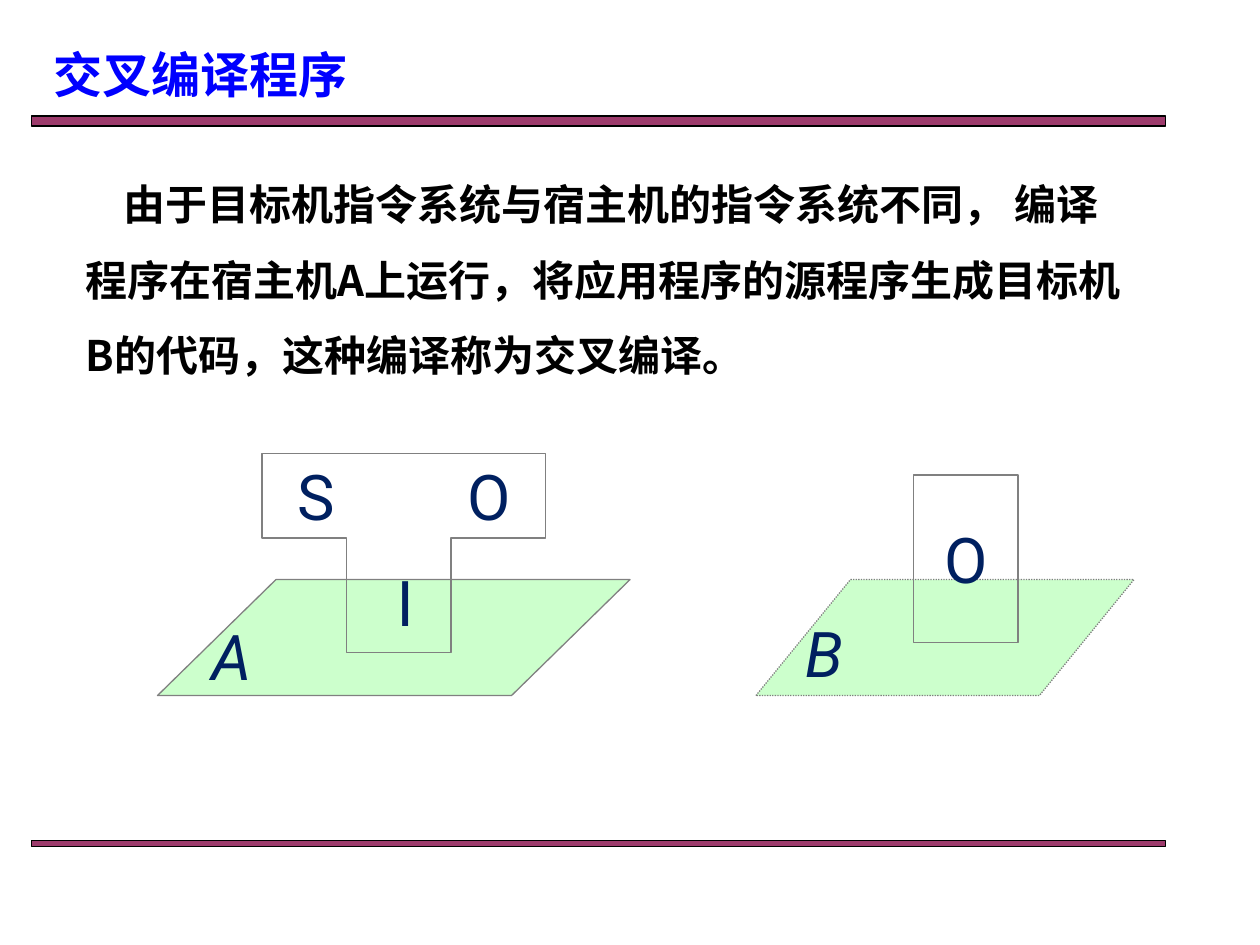
from lxml import etree
from pptx import Presentation
from pptx.dml.color import RGBColor
from pptx.enum.dml import MSO_LINE
from pptx.enum.shapes import MSO_SHAPE
from pptx.enum.text import MSO_ANCHOR, PP_ALIGN
from pptx.oxml.ns import qn
from pptx.util import Inches, Pt

RECTANGLE, PARALLELOGRAM = MSO_SHAPE.RECTANGLE, MSO_SHAPE.PARALLELOGRAM
MIDDLE, TOP = MSO_ANCHOR.MIDDLE, MSO_ANCHOR.TOP
CENTER, LEFT = PP_ALIGN.CENTER, PP_ALIGN.LEFT
DOTTED = MSO_LINE.ROUND_DOT

HEADING_FONT, LABEL_FONT = "Noto Sans CJK SC", "Roboto"
BAR, GREEN, GRAY, NAVY = "993366", "CCFFCC", "808080", "002060"
BLACK, BLUE = "000000", "0000FF"


def color(value):
    return RGBColor.from_string(value)


def style_shape(shape, fill=None, line=GRAY, dash=None, opacity=None):
    shape.shadow.inherit = False
    if fill:
        shape.fill.solid()
        shape.fill.fore_color.rgb = color(fill)
    else:
        shape.fill.background()
    shape.line.color.rgb = color(line)
    shape.line.width = Pt(0.75)
    if dash:
        shape.line.dash_style = dash
    if opacity:
        fill_color = shape.fill._xPr.find(qn("a:solidFill"))[0]
        etree.SubElement(fill_color, qn("a:alpha"), val=str(opacity * 1000))


def add_shape(slide, kind, box, **style):
    shape = slide.shapes.add_shape(kind, *map(Inches, box))
    style_shape(shape, **style)
    return shape


def write_text(shape, text, font_name, size, text_color, anchor=MIDDLE,
               alignment=CENTER, wrap=False, **font_format):
    frame = shape.text_frame
    frame.word_wrap = wrap
    frame.vertical_anchor = anchor
    paragraph = frame.paragraphs[0]
    paragraph.alignment = alignment
    run = paragraph.add_run()
    run.text = text
    font_format.update(name=font_name, size=Pt(size))
    for name, value in font_format.items():
        setattr(run.font, name, value)
    run.font.color.rgb = color(text_color)
    # East Asian characters take their typeface from a:ea
    east_asian = etree.SubElement(run._r.get_or_add_rPr(), qn("a:ea"))
    east_asian.set("typeface", font_name)
    return paragraph


def add_text(slide, box, *text, **text_format):
    text_box = slide.shapes.add_textbox(*map(Inches, box))
    return text_box, write_text(text_box, *text, **text_format)


def add_label(slide, box, letter, **font_format):
    add_text(slide, box, letter, LABEL_FONT, 36, NAVY, **font_format)


def add_machine(slide, box, slant, letter, letter_box, dash=None):
    """Ground plane of one machine with its name."""
    plane = add_shape(slide, PARALLELOGRAM, box, fill=GREEN, dash=dash)
    plane.adjustments[0] = slant / min(box[2:])
    add_label(slide, letter_box, letter, italic=True)


def add_compiler(slide, box):
    """T diagram: source S, output O, implementation language I."""
    left, top, width, height = box
    arm, side = 0.67, 0.67
    right, bottom = left + width, top + height
    stem_left, stem_right = left + side, right - 0.75
    points = [(left, top), (left, top + arm), (stem_left, top + arm),
              (stem_left, bottom), (stem_right, bottom),
              (stem_right, top + arm), (right, top + arm), (right, top)]
    corners = [(Inches(x), Inches(y)) for x, y in points]
    builder = slide.shapes.build_freeform(*corners[0], scale=1.0)
    builder.add_line_segments(corners[1:], close=True)
    style_shape(builder.convert_to_shape())
    for letter, x, y, label_width in (("S", 0.18, -0.02, 0.48),
                                      ("O", 1.52, -0.02, 0.56),
                                      ("I", 0.94, 0.82, 0.39)):
        add_label(slide, (left + x, top + y, label_width, 0.7), letter)


def add_object_code(slide, box):
    code = add_shape(slide, RECTANGLE, box)
    write_text(code, "O", LABEL_FONT, 36, NAVY)


def add_body(slide, box):
    text_box, paragraph = add_text(
        slide, box,
        "由于目标机指令系统与宿主机的指令系统不同， 编译程序在宿主机A上运行，"
        "将应用程序的源程序生成目标机B的代码，这种编译称为交叉编译。".replace(" ", " "),
        HEADING_FONT, 24, BLACK,
        anchor=TOP, alignment=LEFT, wrap=True, bold=True)
    text_box.text_frame.margin_right = Inches(0.08)
    paragraph.line_spacing = 1.5
    paragraph.space_before = Pt(2.4)
    properties = paragraph._p.get_or_add_pPr()
    properties.set("marL", str(Inches(0.41)))
    properties.set("indent", str(Inches(0.3)))


def main():
    presentation = Presentation()
    presentation.slide_width = Inches(10)
    presentation.slide_height = Inches(7.5)
    slide = presentation.slides.add_slide(presentation.slide_layouts[6])

    # Heading, rules and explanation
    for top, height in ((0.92, 0.08), (6.67, 0.05)):
        add_shape(slide, RECTANGLE, (0.25, top, 9, height),
                  fill=BAR, line=BLACK, opacity=96)
    add_text(slide, (0.33, 0.17, 8.5, 0.83), "交叉编译程序", HEADING_FONT, 28,
             BLUE, alignment=LEFT, wrap=True, bold=True)
    add_body(slide, (0.17, 1.17, 8.92, 1.5))

    # Host machine A runs the compiler, target machine B runs its output
    add_machine(slide, (1.25, 4.6, 3.75, 0.92), 0.94, "A",
                (1.58, 4.85, 0.5, 0.7))
    add_compiler(slide, (2.08, 3.6, 2.25, 1.58))
    add_machine(slide, (6, 4.6, 3, 0.92), 0.75, "B",
                (6.29, 4.83, 0.5, 0.7), dash=DOTTED)
    add_object_code(slide, (7.25, 3.77, 0.83, 1.33))

    presentation.save("out.pptx")


if __name__ == "__main__":
    main()
